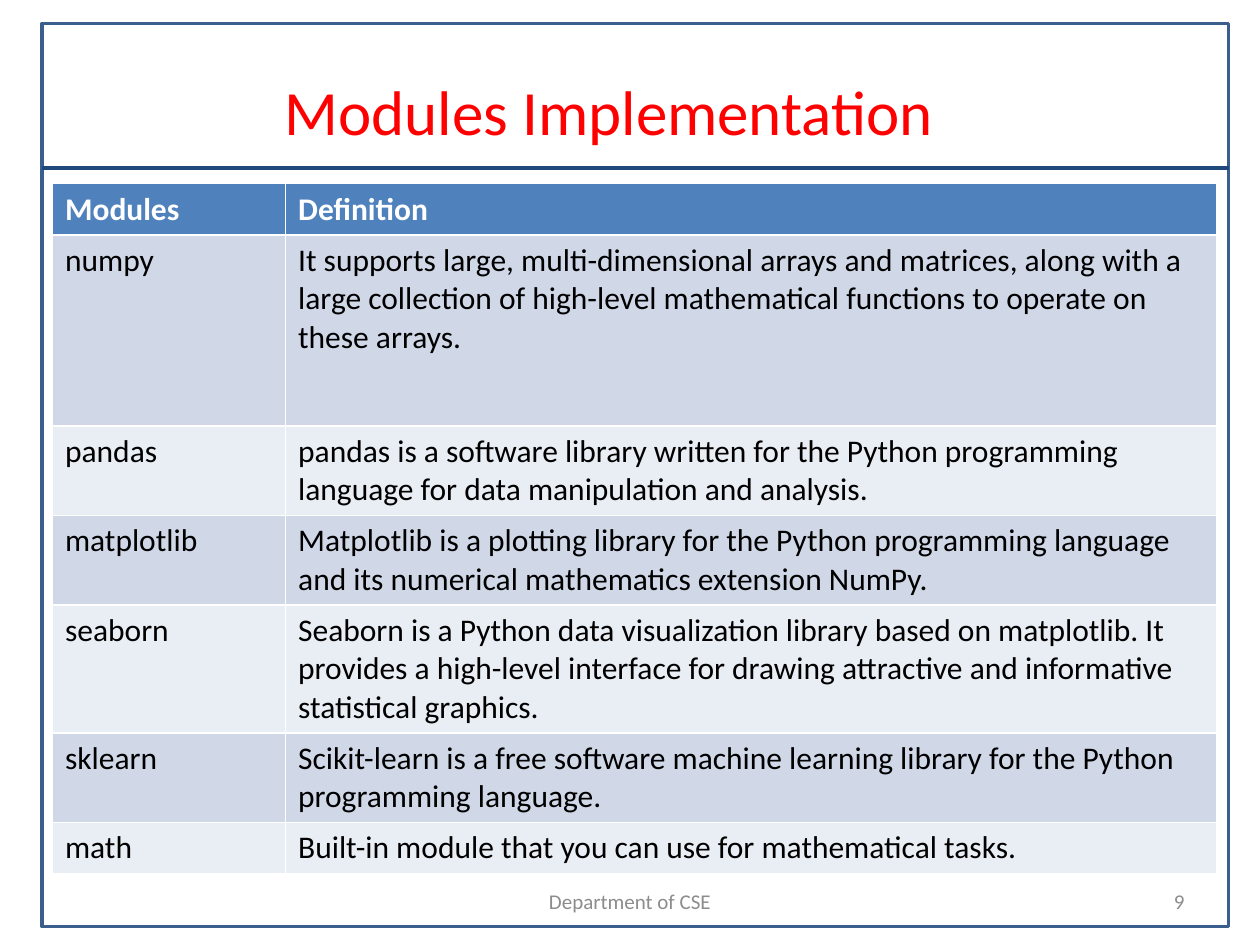
from dataclasses import dataclass
from typing import NamedTuple

from lxml.etree import SubElement
from pptx import Presentation
from pptx.dml.color import RGBColor as RGB
from pptx.enum.shapes import MSO_CONNECTOR as CONN, MSO_SHAPE as SHAPE
from pptx.enum.text import MSO_ANCHOR as ANCHOR, PP_ALIGN as ALIGN
from pptx.oxml.ns import qn
from pptx.util import Emu, Inches, Pt

COLS, ROWS = 120, 90  # grid laid over the slide
WIDTH, HEIGHT = Inches(10), Inches(7.5)


@dataclass(frozen=True)
class Theme:
    font: str = "Calibri"
    title: RGB = RGB(0xFF, 0x00, 0x00)
    frame: RGB = RGB(0x3A, 0x5F, 0x8C)
    rule: RGB = RGB(0x1F, 0x49, 0x7D)
    header: RGB = RGB(0x4F, 0x81, 0xBD)
    header_text: RGB = RGB(0xFF, 0xFF, 0xFF)
    bands: tuple[RGB, RGB] = (RGB(0xD0, 0xD8, 0xE8), RGB(0xE9, 0xED, 0xF4))
    body: RGB = RGB(0x00, 0x00, 0x00)
    muted: RGB = RGB(0x8C, 0x8C, 0x8C)
    title_size: int = 36
    body_size: int = 18
    footer_size: int = 12
    line_width: int = 2


class Box(NamedTuple):
    """A place on the grid, in columns and rows."""
    col: float
    row: float
    cols: float
    rows: float


class Footer(NamedTuple):
    text: str
    box: Box
    align: ALIGN


class Module(NamedTuple):
    name: str
    definition: str
    rows: float


THEME = Theme()
FRAME = Box(4, 2.25, 113, 86)
TITLE = Box(4, 3, 108, 15)
TABLE = Box(5, 17.5, 110.9, 65.9)
RULE_ROW = 16
NAME_COLS = 22.2

FOOTERS = [
    Footer("Department of CSE", Box(41, 83.4, 38, 4.8), ALIGN.CENTER),
    Footer("9", Box(86, 83.4, 28, 4.8), ALIGN.RIGHT),
]

MODULES = [
    Module("Modules", "Definition", 4.87),
    Module("numpy", "It supports large, multi-dimensional arrays and matrices, along with a large "
           "collection of high-level mathematical functions to operate on these arrays.", 18.2),
    Module("pandas", "pandas is a software library written for the Python programming language "
           "for data manipulation and analysis.", 8.53),
    Module("matplotlib", "Matplotlib is a plotting library for the Python programming language "
           "and its numerical mathematics extension NumPy.", 8.53),
    Module("seaborn", "Seaborn is a Python data visualization library based on matplotlib. "
           "It provides a high-level interface for drawing attractive and informative "
           "statistical graphics.", 12.2),
    Module("sklearn", "Scikit-learn is a free software machine learning library for the Python "
           "programming language.", 8.53),
    Module("math", "Built-in module that you can use for mathematical tasks.", 4.87),
]


def x(cols: float) -> Emu:
    return Emu(round(WIDTH * cols / COLS))


def y(rows: float) -> Emu:
    return Emu(round(HEIGHT * rows / ROWS))


def place(box: Box) -> tuple[Emu, Emu, Emu, Emu]:
    return x(box.col), y(box.row), x(box.cols), y(box.rows)


def write(tf, text: str, *, size: int, color: RGB, bold: bool = False,
          align: ALIGN = ALIGN.LEFT) -> None:
    tf.word_wrap = True
    p = tf.paragraphs[0]
    p.alignment = align
    r = p.add_run()
    r.text = text
    r.font.name = THEME.font
    r.font.size = Pt(size)
    r.font.bold = bold
    r.font.color.rgb = color


def draw_frame(slide) -> None:
    """Draw the slide border and the rule below the title."""
    sp = slide.shapes.add_shape(SHAPE.RECTANGLE, *place(FRAME))
    sp.shadow.inherit = False
    sp.fill.background()
    sp.line.color.rgb = THEME.frame
    sp.line.width = Pt(THEME.line_width)

    rule = slide.shapes.add_connector(
        CONN.STRAIGHT, x(FRAME.col), y(RULE_ROW), x(FRAME.col + FRAME.cols), y(RULE_ROW))
    rule.line.color.rgb = THEME.rule
    rule.line.width = Pt(THEME.line_width)
    SubElement(rule._element.spPr, qn("a:effectLst"))


def draw_title(slide, text: str) -> None:
    sp = slide.shapes.title
    sp.left, sp.top, sp.width, sp.height = place(TITLE)
    sp.text_frame.vertical_anchor = ANCHOR.MIDDLE
    write(sp.text_frame, text, size=THEME.title_size, color=THEME.title, align=ALIGN.CENTER)


def draw_footer(slide, footer: Footer) -> None:
    tf = slide.shapes.add_textbox(*place(footer.box)).text_frame
    tf.vertical_anchor = ANCHOR.MIDDLE
    write(tf, footer.text, size=THEME.footer_size, color=THEME.muted, align=footer.align)


def draw_modules(slide, modules: list[Module]) -> None:
    table = slide.shapes.add_table(len(modules), 2, *place(TABLE)).table
    table.columns[0].width = x(NAME_COLS)
    table.columns[1].width = x(TABLE.cols - NAME_COLS)
    for i, module in enumerate(modules):
        is_header = i == 0
        table.rows[i].height = y(module.rows)
        for j, text in enumerate((module.name, module.definition)):
            cell = table.cell(i, j)
            cell.fill.solid()
            cell.fill.fore_color.rgb = THEME.header if is_header else THEME.bands[(i - 1) % 2]
            write(cell.text_frame, text, size=THEME.body_size, bold=is_header,
                  color=THEME.header_text if is_header else THEME.body)


def main() -> None:
    prs = Presentation()
    prs.slide_width, prs.slide_height = WIDTH, HEIGHT
    slide = prs.slides.add_slide(prs.slide_layouts.get_by_name("Title Only"))
    draw_frame(slide)
    draw_title(slide, "Modules Implementation")
    for footer in FOOTERS:
        draw_footer(slide, footer)
    draw_modules(slide, MODULES)
    prs.save("out.pptx")


if __name__ == "__main__":
    main()
